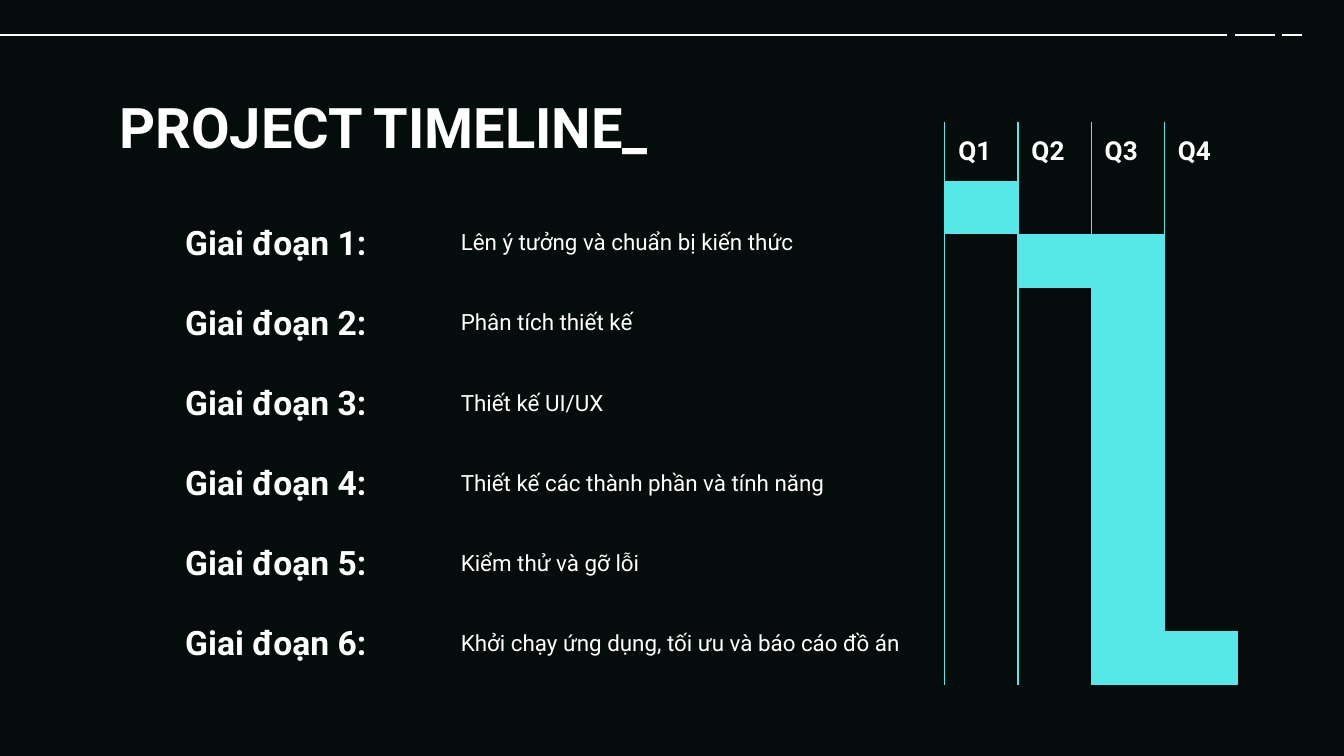
from dataclasses import dataclass

from lxml.etree import SubElement
from pptx import Presentation
from pptx.dml.color import RGBColor as RGB
from pptx.enum.shapes import MSO_CONNECTOR as Conn
from pptx.enum.text import MSO_ANCHOR as Anchor
from pptx.oxml.ns import qn
from pptx.util import Inches, Pt


@dataclass(frozen=True)
class Theme:
    background: str = "040D0B"
    text: str = "FFFFFF"
    accent: str = "56E8E8"
    font: str = "Roboto"
    title: int = 30
    phase: int = 18
    quarter: int = 14
    body: int = 12
    line: float = 0.75
    inset: float = 0.1


class SlideBuilder:
    def __init__(self, slide, theme):
        self.s = slide
        self.t = theme
        fill = slide.background.fill
        fill.solid()
        fill.fore_color.rgb = RGB.from_string(theme.background)

    def style(self, p, size, bold):
        p.font.name = self.t.font
        p.font.size = Pt(size)
        p.font.bold = bold
        p.font.color.rgb = RGB.from_string(self.t.text)

    def text(self, text, x, y, w, h, size, bold=False, anchor=Anchor.MIDDLE):
        sp = self.s.shapes.add_textbox(Inches(x), Inches(y), Inches(w), Inches(h))
        tf = sp.text_frame
        tf.word_wrap = True
        tf.vertical_anchor = anchor
        tf.margin_left = tf.margin_right = Inches(self.t.inset)
        tf.margin_top = tf.margin_bottom = Inches(self.t.inset)
        p = tf.paragraphs[0]
        p.text = text
        self.style(p, size, bold)

    def rule(self, x1, x2, y):
        c = self.s.shapes.add_connector(
            Conn.STRAIGHT, Inches(x1), Inches(y), Inches(x2), Inches(y))
        c.line.color.rgb = RGB.from_string(self.t.text)
        c.line.width = Pt(self.t.line)
        SubElement(c._element.spPr, qn("a:effectLst"))

    def borders(self, cell, shown):
        """Draw the sides named in shown (L, R, T, B) and hide the others."""
        tc_pr = cell._tc.get_or_add_tcPr()
        for side in "LRTB":
            ln = SubElement(tc_pr, qn(f"a:ln{side}"), w=str(Pt(self.t.line)))
            if side in shown:
                solid = SubElement(ln, qn("a:solidFill"))
                SubElement(solid, qn("a:srgbClr"), val=self.t.accent)
            else:
                SubElement(ln, qn("a:noFill"))

    def size_empty(self, p):
        """Give an empty paragraph a small line height, so its row stays low."""
        end = SubElement(p._p, qn("a:endParaRPr"), sz=str(self.t.body * 100))
        SubElement(end, qn("a:latin"), typeface=self.t.font)

    def gantt(self, headers, heights, filled, x, y, w, h):
        """Quarter table; filled holds the (row, column) pairs that are busy."""
        cols = len(headers)
        table = self.s.shapes.add_table(
            len(heights), cols, Inches(x), Inches(y), Inches(w), Inches(h)).table
        table.first_row = table.horz_banding = False
        for column in table.columns:
            column.width = Inches(w) // cols
        for r, height in enumerate(heights):
            table.rows[r].height = Inches(height)
            for c in range(cols):
                cell = table.cell(r, c)
                self.borders(cell, "L" if c == cols - 1 else "LR")
                if (r, c) in filled:
                    cell.fill.solid()
                    cell.fill.fore_color.rgb = RGB.from_string(self.t.accent)
                else:
                    cell.fill.background()
                cell.vertical_anchor = Anchor.MIDDLE
                cell.margin_left = cell.margin_right = Inches(self.t.inset)
                cell.margin_top = cell.margin_bottom = Inches(self.t.inset)
                p = cell.text_frame.paragraphs[0]
                if r == 0:
                    p.text = headers[c]
                    self.style(p, self.t.quarter, True)
                else:
                    self.size_empty(p)


PHASES = [
    "Lên ý tưởng và chuẩn bị kiến thức",
    "Phân tích thiết kế",
    "Thiết kế UI/UX",
    "Thiết kế các thành phần và tính năng",
    "Kiểm thử và gỡ lỗi",
    "Khởi chạy ứng dụng, tối ưu và báo cáo đồ án",
]
PHASE_TOP, PHASE_BOTTOM = 1.55, 4.53
QUARTERS = ["Q1", "Q2", "Q3", "Q4"]
ROW_HEIGHTS = [0.39, 0.37, 0.37, 1.45, 0.55, 0.55, 0.37]
BUSY = {(1, 0), (2, 1), (6, 3)} | {(row, 2) for row in range(2, 7)}


def main():
    prs = Presentation()
    prs.slide_width = Inches(10)
    prs.slide_height = prs.slide_width * 9 // 16
    theme = Theme()
    b = SlideBuilder(prs.slides.add_slide(prs.slide_layouts[6]), theme)

    for x1, x2 in [(0, 9.13), (9.19, 9.49), (9.54, 9.69)]:
        b.rule(x1, x2, 0.26)
    b.text("PROJECT TIMELINE_", 0.79, 0.59, 8.43, 0.63,
           theme.title, bold=True, anchor=Anchor.TOP)

    pitch = (PHASE_BOTTOM - PHASE_TOP) / (len(PHASES) - 1)
    for i, description in enumerate(PHASES):
        y = PHASE_TOP + i * pitch
        b.text(f"Giai đoạn {i + 1}:", 1.28, y, 2.05, 0.5, theme.phase, bold=True)
        b.text(description, 3.33, y, 5.38, 0.5, theme.body)

    b.gantt(QUARTERS, ROW_HEIGHTS, BUSY, 7.03, 0.91, 2.18, 4.17)
    prs.save("out.pptx")


if __name__ == "__main__":
    main()
